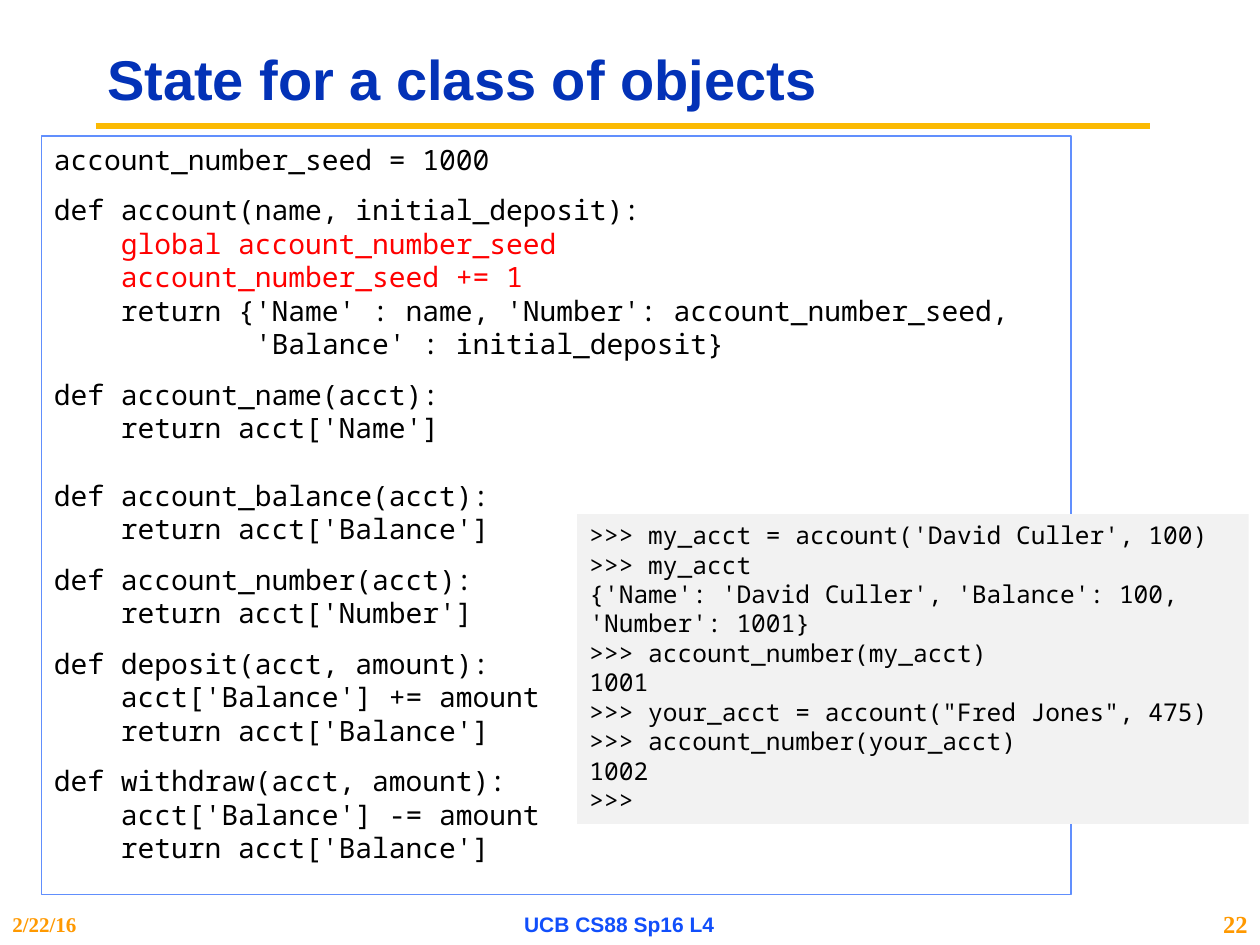
from lxml import etree
from pptx import Presentation
from pptx.dml.color import RGBColor
from pptx.enum.shapes import MSO_CONNECTOR, MSO_SHAPE
from pptx.enum.text import MSO_ANCHOR, PP_ALIGN
from pptx.oxml.ns import qn
from pptx.util import Inches, Pt

STRAIGHT = MSO_CONNECTOR.STRAIGHT
RECT = MSO_SHAPE.RECTANGLE
TOP, MIDDLE = MSO_ANCHOR.TOP, MSO_ANCHOR.MIDDLE
LEFT, CENTER, RIGHT = PP_ALIGN.LEFT, PP_ALIGN.CENTER, PP_ALIGN.RIGHT

COLORS = {
    "title": "0332B7", "rule": "FBBA03", "orange": "FF9900",
    "footer": "114FFB", "border": "618FFD", "panel": "F2F2F2",
    "code": "000000", "highlight": "FF0000",
}
MONO = "Noto Sans Mono"
CHAR_WIDTH = 0.133
GAP = 9.6


def rgb(name):
    return RGBColor.from_string(COLORS[name])


def style(p, text, font, size, color, bold=False, align=LEFT):
    p.text = text
    p.alignment = align
    p.font.name = font
    p.font.size = Pt(size)
    p.font.bold = bold
    p.font.color.rgb = rgb(color)


prs = Presentation()
prs.slide_width, prs.slide_height = Inches(10), Inches(7.5)
s = prs.slides.add_slide(prs.slide_layouts[5])

rule = s.shapes.add_connector(STRAIGHT, Inches(0.76), Inches(1), Inches(9.13), Inches(1))
rule.line.color.rgb = rgb("rule")
rule.line.width = Pt(3.75)
etree.SubElement(rule._element.spPr, qn("a:effectLst"))

title = s.shapes.title
title.left, title.top = Inches(0.75), Inches(0.25)
title.width, title.height = Inches(8.42), Inches(0.81)
title.text_frame.vertical_anchor = MIDDLE
p = title.text_frame.paragraphs[0]
style(p, "State for a class of objects", "Arial", 32, "title", True)
p.line_spacing = 0.9

footers = [
    (0, 1.67, "2/22/16", "Times New Roman", 12, "orange", LEFT),
    (3.33, 3.17, "UCB CS88 Sp16 L4", "Arial", 12, "footer", CENTER),
    (9.42, 0.58, "22", "Times New Roman", 14, "orange", RIGHT),
]
for x, w, text, font, size, color, align in footers:
    tf = s.shapes.add_textbox(Inches(x), Inches(7.17), Inches(w), Inches(0.33)).text_frame
    tf.word_wrap = True
    tf.vertical_anchor = MIDDLE
    style(tf.paragraphs[0], text, font, size, color, True, align)

# Each line: indent in characters, space before in points, text, colour
code = [
    (0, 0, "account_number_seed = 1000", "code"),
    (0, GAP, "def account(name, initial_deposit):", "code"),
    (4, 0, "global account_number_seed", "highlight"),
    (4, 0, "account_number_seed += 1", "highlight"),
    (4, 0, "return {'Name' : name, 'Number': account_number_seed,", "code"),
    (12, 0, "'Balance' : initial_deposit}", "code"),
    (0, GAP, "def account_name(acct):", "code"),
    (4, 0, "return acct['Name']", "code"),
    (0, 2 * GAP, "def account_balance(acct):", "code"),
    (4, 0, "return acct['Balance']", "code"),
    (0, GAP, "def account_number(acct):", "code"),
    (4, 0, "return acct['Number']", "code"),
    (0, GAP, "def deposit(acct, amount):", "code"),
    (4, 0, "acct['Balance'] += amount", "code"),
    (4, 0, "return acct['Balance']", "code"),
    (0, GAP, "def withdraw(acct, amount):", "code"),
    (4, 0, "acct['Balance'] -= amount", "code"),
    (4, 0, "return acct['Balance']", "code"),
]
console = [(0, 0, text, "code") for text in (
    ">>> my_acct = account('David Culler', 100)",
    ">>> my_acct",
    "{'Name': 'David Culler', 'Balance': 100, 'Number': 1001}",
    ">>> account_number(my_acct)",
    "1001",
    ">>> your_acct = account(\"Fred Jones\", 475)",
    ">>> account_number(your_acct)",
    "1002",
    ">>>",
)]

panels = [
    (0.33, 1.08, 8.17, 6.02, None, "border", 16, code),
    (4.58, 4.08, 5.33, 2.46, "panel", None, 14, console),
]
for x, y, w, h, fill, border, size, lines in panels:
    sp = s.shapes.add_shape(RECT, Inches(x), Inches(y), Inches(w), Inches(h))
    sp.shadow.inherit = False
    if fill:
        sp.fill.solid()
        sp.fill.fore_color.rgb = rgb(fill)
    else:
        sp.fill.background()
    if border:
        sp.line.color.rgb = rgb(border)
        sp.line.width = Pt(0.75)
    else:
        sp.line.fill.background()
    tf = sp.text_frame
    tf.word_wrap = True
    tf.vertical_anchor = TOP
    for i, (indent, before, text, color) in enumerate(lines):
        p = tf.add_paragraph() if i else tf.paragraphs[0]
        style(p, text, MONO, size, color)
        p.space_before = Pt(before)
        p._p.get_or_add_pPr().set("marL", str(Inches(indent * CHAR_WIDTH)))

prs.save("out.pptx")
